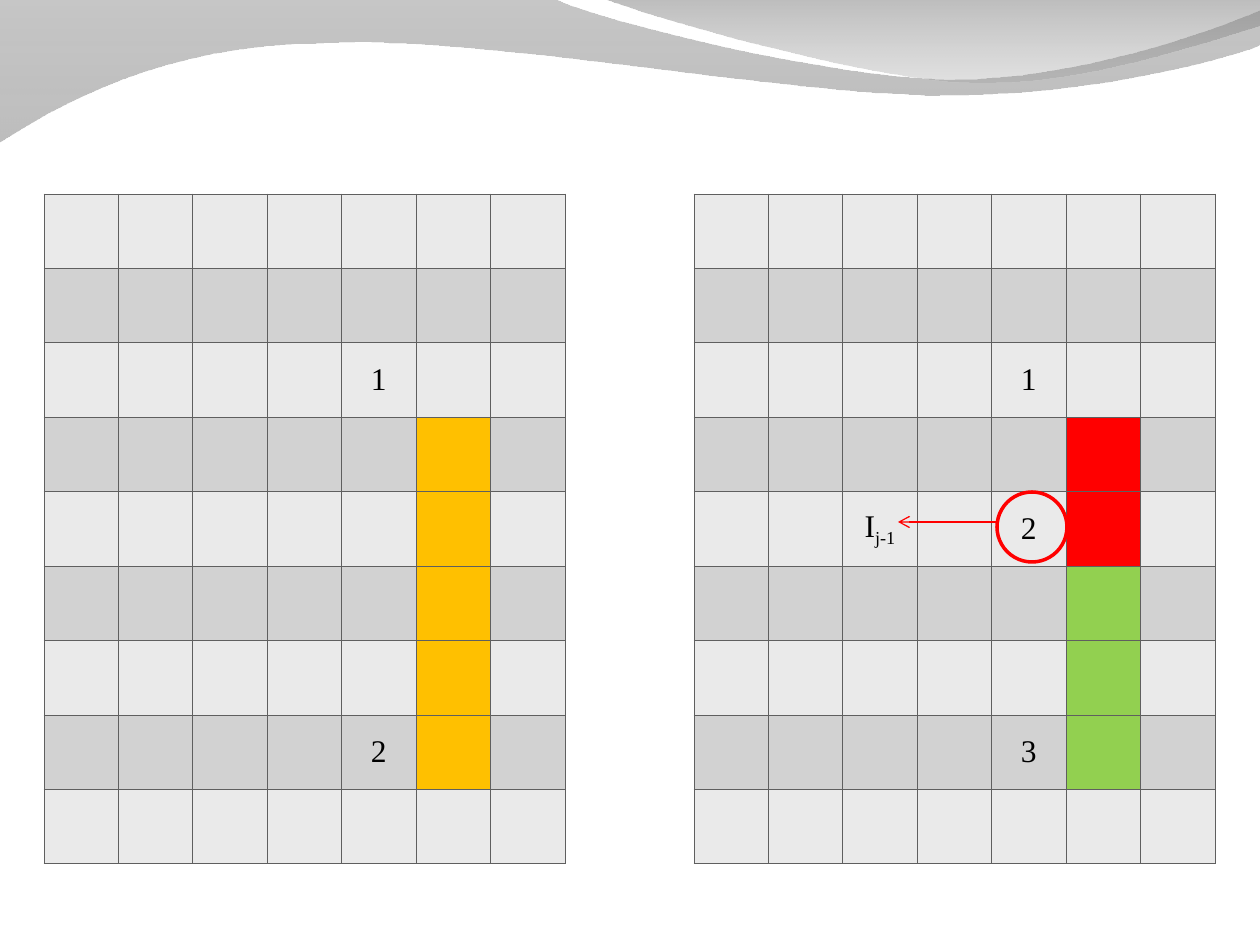
from dataclasses import dataclass

from lxml import etree
from pptx import Presentation
from pptx.dml.color import RGBColor
from pptx.enum.shapes import MSO_CONNECTOR, MSO_SHAPE
from pptx.enum.text import MSO_ANCHOR, PP_ALIGN
from pptx.oxml.ns import qn
from pptx.util import Pt

STRAIGHT = MSO_CONNECTOR.STRAIGHT
OVAL = MSO_SHAPE.OVAL
MIDDLE = MSO_ANCHOR.MIDDLE
CENTER = PP_ALIGN.CENTER

EMU_PER_PX = 914400 / 126
ROWS, COLS = 9, 7
GRID_TOP, GRID_WIDTH, GRID_HEIGHT = 194, 521, 670

LONG_WAVE = [
    [(0, -1)], [(554, -1)],
    [(600, 21), (837, 79), (955, 79)], [(1075, 79), (1207, 33), (1260, 11)],
    [(1261, 45)],
    [(1239, 55), (1096, 96), (940, 95)], [(784, 95), (481, 35), (324, 43)],
    [(163, 44), (58, 105), (-1, 142)],
]
SHORT_WAVE = [
    [(604, -1)],
    [(641, 14), (859, 78), (969, 82)], [(1079, 87), (1211, 40), (1260, 26)],
    [(1260, 0)],
]


@dataclass(frozen=True)
class Theme:
    """Colours, type and line widths of the slide."""
    font: str = "Times New Roman"
    text_size: int = 18
    text: str = "000000"
    bands: tuple = ("EAEAEA", "D2D2D2")
    border: str = "5F5F5F"
    border_width: float = 0.45
    amber: str = "FFC000"
    red: str = "FF0000"
    green: str = "92D050"
    ring_width: float = 2
    arrow_width: float = 0.75
    long_wave: tuple = (("828282", 45), ("878787", 55))
    short_wave: tuple = (("6D6D6D", 45), ("9C9C9C", 30))


def px(length):
    """Turn pixels into EMU."""
    return round(length * EMU_PER_PX)


def rgb(value):
    """Turn a hex string into a colour."""
    return RGBColor.from_string(value)


def bend(outline, segments):
    """Turn each three-point segment of an outline into a cubic curve."""
    lines = iter(list(outline.iter(qn("a:lnTo"))))
    for segment in segments[1:]:
        parts = [next(lines) for _ in segment]
        if len(parts) == 3:
            curve = etree.Element(qn("a:cubicBezTo"))
            parts[0].addprevious(curve)
            for part in parts:
                curve.append(part[0])
                part.getparent().remove(part)


def write_text(paragraph, text, *, font, size, color, baseline=0):
    """Add a formatted run to a paragraph."""
    run = paragraph.add_run()
    run.text = text
    run.font.name = font
    run.font.size = Pt(size)
    run.font.color.rgb = rgb(color)
    if baseline:
        run.font._element.set("baseline", str(baseline * 1000))


class SlideBuilder:
    """Draw elements on one slide in one theme."""

    def __init__(self, slide, theme):
        """Keep the slide and its theme."""
        self.slide = slide
        self.theme = theme

    def wave(self, segments, stops):
        """Draw a translucent wave shaded from top to bottom."""
        first, *others = [(px(x), px(y)) for segment in segments for x, y in segment]
        builder = self.slide.shapes.build_freeform(*first)
        builder.add_line_segments(others, close=True)
        wave = builder.convert_to_shape()
        bend(wave._element.spPr, segments)
        wave.shadow.inherit = False
        wave.line.fill.background()
        wave.fill.gradient()
        wave.fill.gradient_angle = 270
        for stop, (color, _) in zip(wave.fill.gradient_stops, stops):
            stop.color.rgb = rgb(color)
        for node, (_, opacity) in zip(wave._element.spPr.iter(qn("a:srgbClr")), stops):
            etree.SubElement(node, qn("a:alpha"), val=str(opacity * 1000))

    def border(self, cell):
        """Give a cell a thin line on every side."""
        properties = cell._tc.get_or_add_tcPr()
        for side in ("lnL", "lnR", "lnT", "lnB"):
            line = etree.SubElement(properties, qn(f"a:{side}"),
                                    w=str(Pt(self.theme.border_width)))
            fill = etree.SubElement(line, qn("a:solidFill"))
            etree.SubElement(fill, qn("a:srgbClr"), val=self.theme.border)

    def grid(self, left, marked, labels):
        """Draw a banded grid with marked cells and labels keyed by row and column."""
        theme = self.theme
        table = self.slide.shapes.add_table(
            ROWS, COLS, px(left), px(GRID_TOP), px(GRID_WIDTH), px(GRID_HEIGHT)).table
        table.first_row = table.horz_banding = False
        for row in range(ROWS):
            for col in range(COLS):
                cell = table.cell(row, col)
                self.border(cell)
                cell.fill.solid()
                cell.fill.fore_color.rgb = rgb(marked.get((row, col), theme.bands[row % 2]))
        for position, runs in labels.items():
            cell = table.cell(*position)
            cell.vertical_anchor = MIDDLE
            paragraph = cell.text_frame.paragraphs[0]
            paragraph.alignment = CENTER
            for text, baseline in runs:
                write_text(paragraph, text, font=theme.font, size=theme.text_size,
                           color=theme.text, baseline=baseline)

    def ring(self, left, top, size):
        """Draw an open circle."""
        ring = self.slide.shapes.add_shape(OVAL, px(left), px(top), px(size), px(size))
        ring.shadow.inherit = False
        ring.fill.background()
        ring.line.color.rgb = rgb(self.theme.red)
        ring.line.width = Pt(self.theme.ring_width)

    def arrow(self, start, end):
        """Draw a thin arrow with an open head."""
        arrow = self.slide.shapes.add_connector(STRAIGHT, *map(px, start + end))
        arrow.line.color.rgb = rgb(self.theme.red)
        arrow.line.width = Pt(self.theme.arrow_width)
        etree.SubElement(arrow.line._get_or_add_ln(), qn("a:tailEnd"), type="arrow")
        etree.SubElement(arrow._element.spPr, qn("a:effectLst"))


def main():
    """Build the slide and save it."""
    theme = Theme()
    deck = Presentation()
    deck.slide_width, deck.slide_height = px(1260), px(945)
    builder = SlideBuilder(deck.slides.add_slide(deck.slide_layouts[6]), theme)

    builder.wave(LONG_WAVE, theme.long_wave)
    builder.wave(SHORT_WAVE, theme.short_wave)

    split_run = {(row, 5): theme.red if row < 5 else theme.green for row in range(3, 8)}
    builder.grid(694, split_run, {
        (2, 4): [("1", 0)],
        (4, 2): [("I", 0), ("j-1", -25)],
        (4, 4): [("2", 0)],
        (7, 4): [("3", 0)],
    })
    builder.ring(997, 492, 70)
    builder.arrow((997, 522), (898, 522))

    whole_run = {(row, 5): theme.amber for row in range(3, 8)}
    builder.grid(44, whole_run, {(2, 4): [("1", 0)], (7, 4): [("2", 0)]})

    deck.save("out.pptx")


if __name__ == "__main__":
    main()
